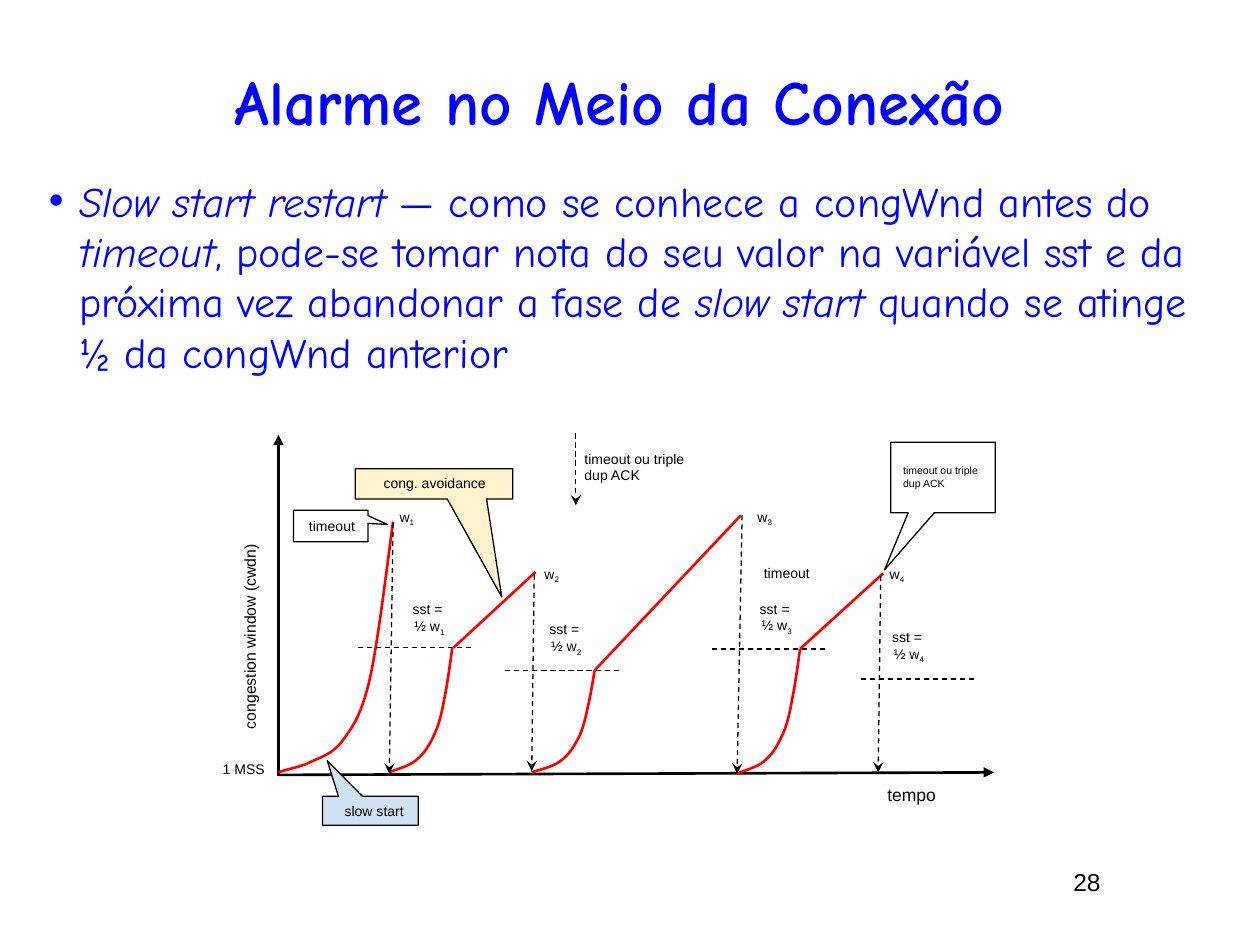
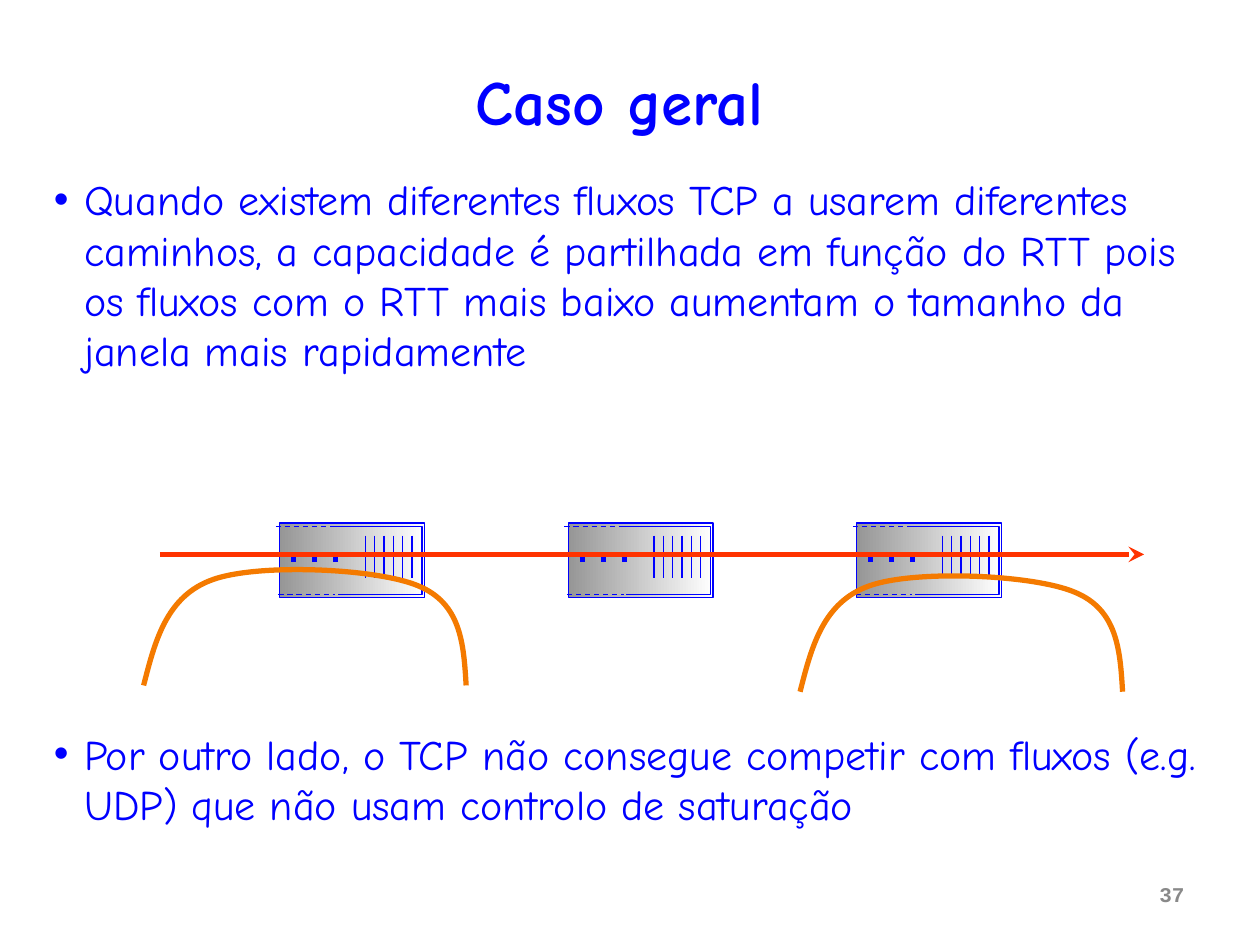
from dataclasses import dataclass
from typing import NamedTuple, Optional

from lxml.etree import SubElement
from pptx import Presentation
from pptx.dml.color import RGBColor
from pptx.enum.shapes import MSO_CONNECTOR, MSO_SHAPE
from pptx.enum.text import MSO_ANCHOR, PP_ALIGN
from pptx.oxml.ns import qn
from pptx.slide import Slide
from pptx.util import Inches, Pt

BLACK = RGBColor(0x00, 0x00, 0x00)
BLUE = RGBColor(0x00, 0x00, 0xFF)
RED = RGBColor(0xFF, 0x00, 0x00)
SCARLET = RGBColor(0xFF, 0x33, 0x00)
ORANGE = RGBColor(0xF4, 0x7A, 0x00)
GREY = RGBColor(0x89, 0x89, 0x89)
STEEL = RGBColor(0x96, 0x96, 0x96)
WHITE = RGBColor(0xFF, 0xFF, 0xFF)
CREAM = RGBColor(0xFF, 0xF2, 0xCC)
SKY = RGBColor(0xCF, 0xE2, 0xF3)


class Point(NamedTuple):
    """A place on the page, in inches."""
    x: float
    y: float


class Frame(NamedTuple):
    """Left, top, width and height, in inches."""
    left: float
    top: float
    width: float
    height: float


class Span(NamedTuple):
    """A stretch of text with its own emphasis."""
    text: str
    italic: bool = False
    subscript: bool = False


class Pen(NamedTuple):
    """The look of a line."""
    color: RGBColor
    width: float = 0.75
    dash: Optional[str] = None
    tail: Optional[str] = None


@dataclass(frozen=True)
class Style:
    """The look of a block of text."""
    size: float
    font: str = "Arial"
    color: RGBColor = BLACK
    bold: bool = False
    align: PP_ALIGN = PP_ALIGN.CENTER
    anchor: MSO_ANCHOR = MSO_ANCHOR.MIDDLE
    margin: float = 0.1
    bullet: bool = False
    gap: float = 0


@dataclass(frozen=True)
class Callout:
    """A speech box with the offset of its tip."""
    frame: Frame
    tip: Point
    fill: Optional[RGBColor] = None


@dataclass(frozen=True)
class Label:
    """A chart caption of one or more paragraphs."""
    frame: Frame
    paras: list[list[Span]]
    style: Style


TITLE = Style(36, "Comic Neue", BLUE, bold=True, margin=0.05)
BODY = Style(24, "Comic Neue", BLUE, align=PP_ALIGN.LEFT, anchor=MSO_ANCHOR.TOP,
             margin=0.05, bullet=True, gap=201.6)
NUMBER = Style(14, align=PP_ALIGN.LEFT, anchor=MSO_ANCHOR.TOP, margin=0.05)
BOLD_NUMBER = Style(12, "Courier New", GREY, True, PP_ALIGN.RIGHT, MSO_ANCHOR.TOP, 0.05)
SMALL = Style(8)
NOTE = Style(8, align=PP_ALIGN.LEFT)
TINY_NOTE = Style(6, align=PP_ALIGN.LEFT)
AXIS_TIME = Style(10)
AXIS_WINDOW = Style(9, align=PP_ALIGN.LEFT)

AXIS = Pen(BLACK, 1.5, tail="triangle")
GROWTH = Pen(RED, 1.5)
DROP = Pen(BLACK, dash="dash", tail="stealth")
THRESHOLD = Pen(BLACK, dash="dash")
OUTLINE = Pen(BLUE)
DASHED_OUTLINE = Pen(BLUE, dash="dash")
DOTS = Pen(BLUE, 3, "dot")
MAIN_FLOW = Pen(SCARLET, 3, tail="stealth")
SIDE_FLOW = Pen(ORANGE, 3)


def draw_text(page: Slide, frame: Frame, paras: list[list[Span]], style: Style,
              rotation: float = 0) -> None:
    """Place a text box and fill it run by run."""
    box = page.shapes.add_textbox(*map(Inches, frame))
    box.rotation = rotation
    area = box.text_frame
    area.word_wrap = True
    area.vertical_anchor = style.anchor
    area.margin_left = area.margin_right = Inches(0.1)
    area.margin_top = area.margin_bottom = Inches(style.margin)
    for index, spans in enumerate(paras):
        para = area.add_paragraph() if index else area.paragraphs[0]
        para.alignment = style.align
        para.space_before = Pt(style.gap if index else 0)
        if style.bullet:
            add_bullet(para, style.color)
        for item in spans:
            span = para.add_run()
            span.text = item.text
            span.font.size = Pt(style.size)
            span.font.name = style.font
            span.font.bold = style.bold
            span.font.italic = item.italic
            span.font.color.rgb = style.color
            if item.subscript:
                span.font._element.set("baseline", "-25000")


def add_bullet(para, color: RGBColor) -> None:
    """Give a paragraph a coloured bullet and a hanging indent."""
    props = para._p.get_or_add_pPr()
    props.set("marL", str(Inches(0.24)))
    props.set("indent", str(-Inches(0.24)))
    SubElement(SubElement(props, qn("a:buClr")), qn("a:srgbClr"), val=str(color))
    SubElement(props, qn("a:buFont"), typeface="Arial")
    SubElement(props, qn("a:buChar"), char="•")


def apply_pen(line, pen: Pen) -> None:
    """Set colour, width, dash and arrowhead of a line."""
    line.color.rgb = pen.color
    line.width = Pt(pen.width)
    outline = line._get_or_add_ln()
    if pen.dash:
        SubElement(outline, qn("a:prstDash"), val=pen.dash)
    if pen.tail:
        SubElement(outline, qn("a:tailEnd"), type=pen.tail)


def draw_line(page: Slide, start: Point, end: Point, pen: Pen) -> None:
    """Draw a straight connector."""
    ends = map(Inches, (*start, *end))
    connector = page.shapes.add_connector(MSO_CONNECTOR.STRAIGHT, *ends)
    apply_pen(connector.line, pen)
    SubElement(connector._element.spPr, qn("a:effectLst"))


def draw_outline(page: Slide, points: list[tuple[float, float]], pen: Pen,
                 curved: bool = False) -> None:
    """Draw an open outline, reading points as Bézier triples when curved."""
    start, *rest = [(Inches(x), Inches(y)) for x, y in points]
    builder = page.shapes.build_freeform(*start)
    builder.add_line_segments(rest, close=False)
    shape = builder.convert_to_shape()
    shape.shadow.inherit = False
    shape.fill.background()
    apply_pen(shape.line, pen)
    if curved:
        route = next(shape._element.iter(qn("a:path")))
        steps = route.findall(qn("a:lnTo"))
        for first in range(0, len(steps), 3):
            bend = SubElement(route, qn("a:cubicBezTo"))
            for step in steps[first:first + 3]:
                bend.append(step[0])
                route.remove(step)


def draw_callout(page: Slide, callout: Callout) -> None:
    """Draw a square-cornered callout."""
    shape = page.shapes.add_shape(MSO_SHAPE.ROUNDED_RECTANGULAR_CALLOUT,
                                  *map(Inches, callout.frame))
    for index, value in enumerate((*callout.tip, 0)):
        shape.adjustments[index] = value
    shape.shadow.inherit = False
    if callout.fill is None:
        shape.fill.background()
    else:
        shape.fill.solid()
        shape.fill.fore_color.rgb = callout.fill
    apply_pen(shape.line, Pen(BLACK))


def draw_router(page: Slide, left: float) -> None:
    """Draw a router with its vents and lights."""
    top = 4.15
    body = page.shapes.add_shape(MSO_SHAPE.RECTANGLE,
                                 *map(Inches, (left, top, 1.15, 0.59)))
    body.shadow.inherit = False
    body.fill.gradient()
    body.fill.gradient_angle = 0
    for stop, color, position in zip(body.fill.gradient_stops, (STEEL, WHITE), (0, 1)):
        stop.color.rgb = color
        stop.position = position
    apply_pen(body.line, OUTLINE)
    edge = [(0.42, 0.03), (1.13, 0.03), (1.13, 0.57), (0.46, 0.57)]
    draw_outline(page, [(left + x, top + y) for x, y in edge], OUTLINE)
    for x, y in ((-0.03, 0.03), (-0.01, 0.57)):
        draw_line(page, Point(left + x, top + y), Point(left + x + 0.45, top + y),
                  DASHED_OUTLINE)
    for vent in range(6):
        x = left + 0.68 + 0.074 * vent
        draw_line(page, Point(x, top + 0.1), Point(x, top + 0.44), OUTLINE)
    draw_line(page, Point(left + 0.09, 4.44), Point(left + 0.57, 4.44), DOTS)


def add_page(deck, title: str, body_frame: Frame, body: list[list[Span]],
             number: str, number_frame: Frame, number_style: Style) -> Slide:
    """Add a page with its title, bullets and number."""
    page = deck.slides.add_slide(deck.slide_layouts[6])
    draw_text(page, Frame(0.33, 0.42, 9.17, 0.75), [[Span(title)]], TITLE)
    draw_text(page, body_frame, body, BODY)
    draw_text(page, number_frame, [[Span(number)]], number_style)
    return page


def draw_window_chart(page: Slide) -> None:
    """Draw the congestion window over time."""
    draw_line(page, Point(2.21, 6.16), Point(2.21, 3.45), AXIS)
    draw_line(page, Point(2.21, 6.15), Point(7.89, 6.13), AXIS)
    draw_text(page, Frame(0.79, 4.49, 2.38, 0.41),
              [[Span("congestion window (cwdn)")]], AXIS_WINDOW, 270)
    slow_starts = [
        [(2.21, 6.13), (2.25, 6.11), (2.38, 6.09), (2.46, 6.05), (2.54, 6.01), (2.63, 5.99),
         (2.71, 5.89), (2.79, 5.78), (2.86, 5.7), (2.93, 5.41), (3, 5.12), (3.09, 4.35),
         (3.12, 4.14)]]
    ramp = [(0, 0), (0.08, 0.02), (0.32, 0.05), (0.43, 0.1), (0.55, 0.15), (0.63, 0.21),
            (0.71, 0.3), (0.79, 0.38), (0.84, 0.49), (0.88, 0.61), (0.93, 0.73),
            (0.98, 0.93), (1, 1)]
    for left, bottom, height in ((3.09, 6.13, 0.99), (4.22, 6.13, 0.81), (5.85, 6.14, 0.99)):
        slow_starts.append([(left + 0.5 * x, bottom - height * y) for x, y in ramp])
    for curve in slow_starts:
        draw_outline(page, curve, GROWTH, curved=True)
    for start, end in (((3.6, 5.14), (4.25, 4.54)), ((4.72, 5.32), (5.88, 4.09)),
                       ((6.35, 5.15), (7.01, 4.55))):
        draw_line(page, Point(*start), Point(*end), GROWTH)
    for start, end in (((3.12, 4.15), (3.09, 6.14)), ((4.24, 4.56), (4.22, 6.12)),
                       ((5.89, 4.09), (5.85, 6.14)), ((6.99, 4.57), (6.97, 6.13)),
                       ((4.57, 3.44), (4.57, 4.01))):
        draw_line(page, Point(*start), Point(*end), DROP)
    for x, y in ((2.84, 5.14), (4.01, 5.32), (5.65, 5.15), (6.83, 5.39)):
        draw_line(page, Point(x, y), Point(x + 0.9, y), THRESHOLD)
    for callout in (
            Callout(Frame(2.56, 6.32, 0.76, 0.23), Point(-0.45, -1.73), SKY),
            Callout(Frame(2.82, 3.72, 1.25, 0.24), Point(0.43, 3.74), CREAM),
            Callout(Frame(2.33, 4.05, 0.59, 0.25), Point(0.76, -0.05)),
            Callout(Frame(7.07, 3.51, 0.83, 0.56), Point(-0.56, 1.31))):
        draw_callout(page, callout)
    alarm = [[Span("timeout ou triple dup ACK")]]
    labels = [
        Label(Frame(6.71, 6.13, 1.05, 0.35), [[Span("tempo")]], AXIS_TIME),
        Label(Frame(2.56, 6.26, 0.82, 0.35), [[Span("slow start")]], SMALL),
        Label(Frame(2.79, 3.66, 1.32, 0.35), [[Span("cong. avoidance")]], SMALL),
        Label(Frame(2.28, 4, 0.71, 0.35), [[Span("timeout")]], SMALL),
        Label(Frame(5.89, 4.37, 0.71, 0.35), [[Span("timeout")]], SMALL),
        Label(Frame(1.61, 5.94, 0.65, 0.32), [[Span("1 MSS")]], SMALL),
        Label(Frame(4.54, 3.46, 1.11, 0.49), alarm, NOTE),
        Label(Frame(7.07, 3.54, 0.9, 0.49), alarm, TINY_NOTE)]
    peaks = ((3.01, 3.95), (4.16, 4.4), (5.85, 3.95), (6.9, 4.4))
    halves = (Frame(2.93, 4.75, 0.96, 0.32), Frame(4.11, 4.91, 0.77, 0.32),
              Frame(5.78, 4.7, 0.77, 0.41), Frame(6.76, 4.97, 0.91, 0.32))
    for index, (peak, half) in enumerate(zip(peaks, halves), 1):
        mark = Span(str(index), subscript=True)
        labels.append(Label(Frame(*peak, 0.44, 0.32), [[Span("w"), mark]], SMALL))
        labels.append(Label(half, [[Span("sst = ")], [Span("½ w"), mark]], SMALL))
    for label in labels:
        draw_text(page, label.frame, label.paras, label.style)


def draw_flows(page: Slide) -> None:
    """Draw the routers and the flows that share them."""
    for index in range(3):
        draw_router(page, 2.22 + 2.29 * index)
    draw_line(page, Point(1.27, 4.4), Point(9.08, 4.4), MAIN_FLOW)
    arch = [(0, 0.97), (0.09, 0.62), (0.18, 0.26), (0.55, 0.13), (0.91, 0), (1.85, 0.04),
            (2.18, 0.18), (2.52, 0.32), (2.54, 0.64), (2.56, 0.97)]
    for left, top in ((1.14, 4.47), (6.35, 4.52)):
        draw_outline(page, [(left + x, top + y) for x, y in arch], SIDE_FLOW, curved=True)


def main() -> None:
    """Build the deck and save it."""
    deck = Presentation()
    deck.slide_width, deck.slide_height = Inches(10), Inches(7.5)
    restart = [Span("Slow start restart ", True), Span("— como se conhece a congWnd antes do "),
               Span("timeout", True),
               Span(", pode-se tomar nota do seu valor na variável sst e da próxima vez "
                    "abandonar a fase de "),
               Span("slow start ", True), Span("quando se atinge ½ da congWnd anterior")]
    draw_window_chart(add_page(deck, "Alarme no Meio da Conexão", Frame(0.29, 1.34, 9.42, 1.79),
                               [restart], "28", Frame(8.42, 6.83, 1, 0.42), NUMBER))
    sharing = ("Quando existem diferentes fluxos TCP a usarem diferentes caminhos, a capacidade "
               "é partilhada em função do RTT pois os fluxos com o RTT mais baixo aumentam o "
               "tamanho da janela mais rapidamente")
    rivals = ("Por outro lado, o TCP não consegue competir com fluxos (e.g. UDP) que não usam "
              "controlo de saturação")
    draw_flows(add_page(deck, "Caso geral", Frame(0.33, 1.33, 9.42, 5.45),
                        [[Span(sharing)], [Span(rivals)]], "37",
                        Frame(7.17, 6.95, 2.33, 0.4), BOLD_NUMBER))
    deck.save("out.pptx")


if __name__ == "__main__":
    main()
